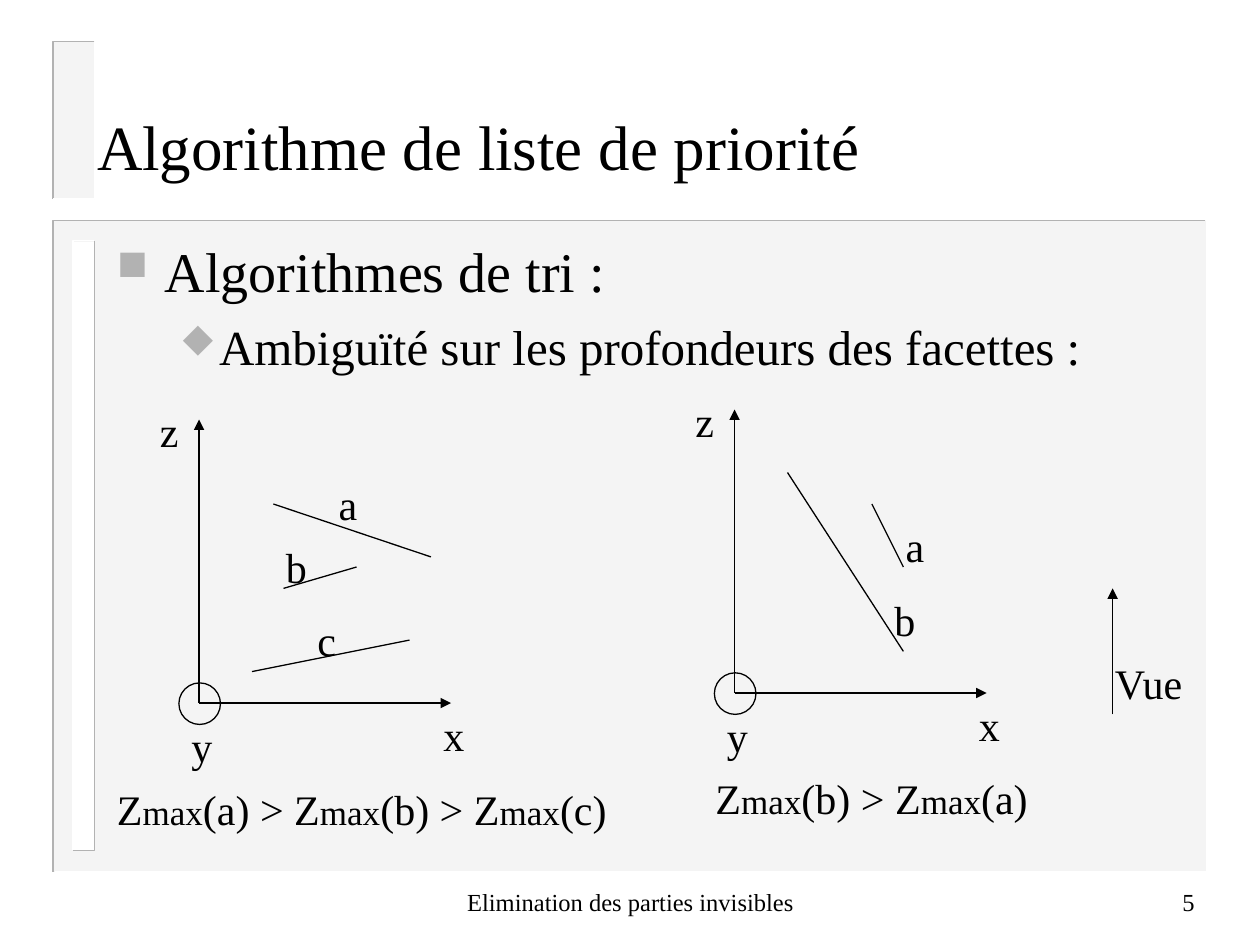
from lxml import etree
from pptx import Presentation
from pptx.dml.color import RGBColor
from pptx.enum.shapes import MSO_CONNECTOR, MSO_SHAPE
from pptx.enum.text import MSO_ANCHOR, MSO_AUTO_SIZE, PP_ALIGN
from pptx.oxml.ns import qn
from pptx.util import Inches, Pt

STRAIGHT = MSO_CONNECTOR.STRAIGHT
RECT, OVAL = MSO_SHAPE.RECTANGLE, MSO_SHAPE.OVAL
TOP, MIDDLE = MSO_ANCHOR.TOP, MSO_ANCHOR.MIDDLE
LEFT, CENTER, RIGHT = PP_ALIGN.LEFT, PP_ALIGN.CENTER, PP_ALIGN.RIGHT
FONT, BLACK, GREY, PALE, WHITE = "Times New Roman", "000000", "B2B2B2", "EAEAEA", "FFFFFF"
rgb = RGBColor.from_string

prs = Presentation()
prs.slide_width, prs.slide_height = Inches(10), Inches(7.5)
slide = prs.slides.add_slide(prs.slide_layouts[5])
shapes = slide.shapes


def write(text, at, size=24, small=20, align=LEFT, anchor=TOP, wrap=False, box=None):
    """Fill a box with text; parts between bars take the small size."""
    box = box or shapes.add_textbox(0, 0, 0, 0)
    box.left, box.top, box.width, box.height = map(Inches, at)
    frame = box.text_frame
    frame.auto_size = MSO_AUTO_SIZE.NONE
    frame.word_wrap, frame.vertical_anchor = wrap, anchor
    for i, line in enumerate(text.split("\n")):
        par = frame.paragraphs[0] if i == 0 else frame.add_paragraph()
        par.alignment = align
        for j, part in enumerate(line.split("|")):
            if part:
                run = par.add_run()
                run.text = part
                run.font.name, run.font.size = FONT, Pt(small if j % 2 else size)
                run.font.color.rgb = rgb(BLACK)
    return frame


def draw_line(start, end, arrow=False):
    line = shapes.add_connector(STRAIGHT, *map(Inches, start + end))
    line.line.color.rgb, line.line.width = rgb(BLACK), Pt(0.75)
    if arrow:
        etree.SubElement(line.line._get_or_add_ln(), qn("a:tailEnd"), type="triangle")
    etree.SubElement(line._element.spPr, qn("a:effectLst"))


# Background panels: place, fill, opacity
panels = [
    ((0.43, 1.75, 9.15, 5.17), PALE, 50),
    ((0.58, 1.92, 0.17, 4.83), WHITE, 100),
    ((0.42, 0.33, 0.33, 1.25), PALE, 50),
]
for at, fill, alpha in panels:
    panel = shapes.add_shape(RECT, *map(Inches, at))
    panel.shadow.inherit = False
    panel.fill.solid()
    panel.fill.fore_color.rgb = rgb(fill)
    panel.line.fill.background()
    if alpha < 100:
        color = panel._element.spPr.find(".//" + qn("a:srgbClr"))
        etree.SubElement(color, qn("a:alpha"), val=str(alpha * 1000))

# Bevelled edges of the panels
edges = [
    (GREY, [(9.56, 1.75), (0.42, 1.75), (0.42, 6.92)]),
    (WHITE, [(9.58, 1.75), (9.58, 6.92), (0.44, 6.92)]),
    (GREY, [(0.58, 6.75), (0.75, 6.75), (0.75, 1.91)]),
    (WHITE, [(0.58, 6.75), (0.58, 1.91), (0.75, 1.91)]),
    (GREY, [(0.75, 0.33), (0.42, 0.33), (0.42, 1.58)]),
    (WHITE, [(0.75, 0.33), (0.75, 1.58), (0.42, 1.58)]),
]
for color, points in edges:
    first, *rest = [(Inches(x), Inches(y)) for x, y in points]
    path = shapes.build_freeform(*first)
    path.add_line_segments(rest, close=False)
    edge = path.convert_to_shape()
    edge.shadow.inherit = False
    edge.fill.background()
    edge.line.color.rgb, edge.line.width = rgb(color), Pt(1)

# Title, footer and page number
write("Algorithme de liste de priorité", (0.67, 0.78, 8.5, 0.75), size=36,
      anchor=MIDDLE, wrap=True, box=shapes.title)
write("Elimination des parties invisibles", (3.42, 6.91, 3.17, 0.5), size=14,
      align=CENTER, anchor=MIDDLE)
write("5", (7.5, 6.91, 2.08, 0.5), size=14, align=RIGHT, anchor=MIDDLE)

# Bulleted text; in Wingdings n is a square and u a diamond
body = write("Algorithmes de tri :\n|Ambiguïté sur les profondeurs des facettes :",
             (0.83, 1.83, 8.75, 5.08), size=32, small=28, wrap=True)
bullets = [("n", 0.38, -0.38), ("u", 0.81, -0.31)]
for level, (par, (mark, margin, indent)) in enumerate(zip(body.paragraphs, bullets)):
    par.level = level
    props = par._p.get_or_add_pPr()
    props.set("marL", str(Inches(margin)))
    props.set("indent", str(Inches(indent)))
    color = etree.SubElement(props, qn("a:buClr"))
    etree.SubElement(color, qn("a:srgbClr"), val=GREY)
    etree.SubElement(props, qn("a:buSzPct"), val="75000")
    etree.SubElement(props, qn("a:buFont"), typeface="Wingdings", pitchFamily="2", charset="2")
    etree.SubElement(props, qn("a:buChar"), char=mark)
body.paragraphs[1].space_before = Pt(7)

# Diagrams: origin, facets, facet labels, depth order
diagrams = [
    ((1.58, 5.58),
     [((2.17, 4), (3.42, 4.42)), ((2.25, 4.67), (2.83, 4.5)), ((2, 5.33), (3.25, 5.08))],
     [("a", 2.59, 3.75), ("b", 2.17, 4.25), ("c", 2.42, 4.83)],
     ("Z|max|(a) > Z|max|(b) > Z|max|(c)", (0.83, 6.17, 4.08, 0.5))),
    ((5.83, 5.5),
     [((6.25, 3.75), (7.17, 5.17)), ((6.92, 4), (7.17, 4.5))],
     [("b", 7, 4.67), ("a", 7.09, 4.08)],
     ("Z|max|(b) > Z|max|(a)", (5.58, 6.08, 2.68, 0.5))),
]
for (x, y), facets, labels, order in diagrams:
    draw_line((x, y), (x, y - 2.25), arrow=True)
    draw_line((x, y), (x + 2, y), arrow=True)
    ring = shapes.add_shape(OVAL, *map(Inches, (x - 0.16, y - 0.16, 0.33, 0.33)))
    ring.shadow.inherit = False
    ring.fill.background()
    ring.line.color.rgb, ring.line.width = rgb(BLACK), Pt(0.75)
    for start, end in facets:
        draw_line(start, end)
    axes = [("x", x + 1.84, y), ("y", x - 0.16, y + 0.09), ("z", x - 0.41, y - 2.41)]
    for name, left, top in axes + labels:
        write(name, (left, top, 0.36, 0.5))
    write(*order)

# View direction
draw_line((8.83, 5.67), (8.83, 4.67), arrow=True)
write("Vue", (8.75, 5.17, 0.75, 0.5))

prs.save("out.pptx")
